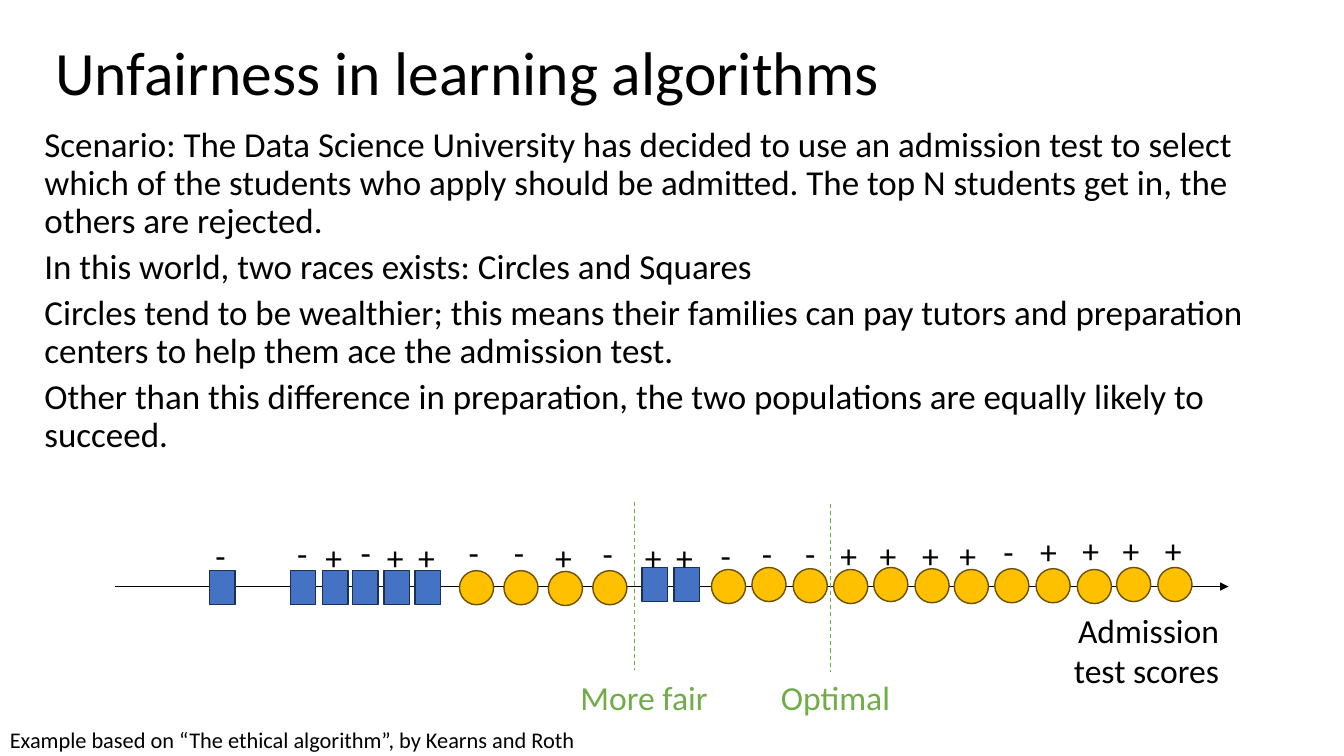
from lxml import etree
from pptx import Presentation
from pptx.dml.color import RGBColor
from pptx.enum.dml import MSO_LINE
from pptx.enum.shapes import MSO_CONNECTOR, MSO_SHAPE
from pptx.enum.text import MSO_ANCHOR, PP_ALIGN
from pptx.oxml.ns import qn
from pptx.util import Cm, Pt

SQUARE = MSO_SHAPE.RECTANGLE
CIRCLE = MSO_SHAPE.OVAL
STRAIGHT = MSO_CONNECTOR.STRAIGHT
DASH = MSO_LINE.DASH
TOP = MSO_ANCHOR.TOP
MIDDLE = MSO_ANCHOR.MIDDLE
LEFT = PP_ALIGN.LEFT
RIGHT = PP_ALIGN.RIGHT
BLACK = "000000"
GREEN = "70AD47"


def rgb(value):
    return RGBColor.from_string(value)


def add_text(s, box, lines, size, color=BLACK, align=LEFT, anchor=TOP,
             inset=0.13, spacing=None):
    tf = s.shapes.add_textbox(*[Cm(v) for v in box]).text_frame
    tf.word_wrap = True
    tf.vertical_anchor = anchor
    tf.margin_left = tf.margin_right = Cm(0.25)
    tf.margin_top = tf.margin_bottom = Cm(inset)
    for i, line in enumerate(lines):
        p = tf.add_paragraph() if i else tf.paragraphs[0]
        p.alignment = align
        p.line_spacing = spacing
        if i:
            p.space_before = Pt(6)
        r = p.add_run()
        r.text = line
        r.font.name = "Calibri"
        r.font.size = Pt(size)
        r.font.color.rgb = rgb(color)
    return tf


prs = Presentation()
prs.slide_width = Cm(33.87)
prs.slide_height = Cm(19.05)
s = prs.slides.add_slide(prs.slide_layouts[6])

add_text(s, (1.14, 0.84, 31.55, 2.13), ["Unfairness in learning algorithms"], 44,
         anchor=MIDDLE, inset=0.25, spacing=0.9)

scenario = [
    "Scenario: The Data Science University has decided to use an admission test to select "
    "which of the students who apply should be admitted. The top N students get in, the "
    "others are rejected.",
    "In this world, two races exists: Circles and Squares",
    "Circles tend to be wealthier; this means their families can pay tutors and preparation "
    "centers to help them ace the admission test.",
    "Other than this difference in preparation, the two populations are equally likely to "
    "succeed.",
]
tf = add_text(s, (0.43, 2.97, 32.72, 8.05), scenario, 25, inset=0.25, spacing=0.9)
for p in tf.paragraphs:
    pPr = p._p.get_or_add_pPr()
    pPr.set("marL", str(Cm(0.44)))
    pPr.set("indent", "0")

add_text(s, (0, 18.16, 20.73, 0.94),
         ["Example based on “The ethical algorithm”, by Kearns and Roth"], 16)

lines = [
    (2.9, 14.78, 30.96, 14.78, BLACK, 1),
    (20.93, 12.7, 20.93, 16.94, GREEN, 0.75),
    (16, 12.65, 16, 16.89, GREEN, 0.75),
]
for x1, y1, x2, y2, color, width in lines:
    line = s.shapes.add_connector(STRAIGHT, Cm(x1), Cm(y1), Cm(x2), Cm(y2))
    line.line.color.rgb = rgb(color)
    line.line.width = Pt(width)
    if color == GREEN:
        line.line.dash_style = DASH
    else:
        ln = line.line._get_or_add_ln()
        etree.SubElement(ln, qn("a:tailEnd"), type="triangle")
    etree.SubElement(line._element.spPr, qn("a:effectLst"))

add_text(s, (25.53, 15.24, 5.44, 2.31), ["Admission test scores"], 24, align=RIGHT)

students = [
    (SQUARE, 5.28, 14.38, "-", 5.18, 13.34),
    (SQUARE, 7.32, 14.38, "-", 7.24, 13.31),
    (SQUARE, 8.13, 14.38, "+", 7.95, 13.39),
    (SQUARE, 8.89, 14.38, "-", 8.84, 13.28),
    (SQUARE, 9.68, 14.38, "+", 9.5, 13.41),
    (SQUARE, 10.46, 14.38, "+", 10.29, 13.39),
    (CIRCLE, 11.58, 14.38, "-", 11.56, 13.28),
    (CIRCLE, 12.7, 14.38, "-", 12.7, 13.28),
    (CIRCLE, 13.82, 14.4, "+", 13.74, 13.39),
    (CIRCLE, 14.94, 14.38, "-", 14.94, 13.31),
    (SQUARE, 16.18, 14.3, "+", 16, 13.39),
    (SQUARE, 16.99, 14.3, "+", 16.79, 13.39),
    (CIRCLE, 17.93, 14.35, "-", 17.91, 13.34),
    (CIRCLE, 18.95, 14.3, "-", 18.95, 13.31),
    (CIRCLE, 19.99, 14.33, "-", 20.04, 13.31),
    (CIRCLE, 21.01, 14.35, "+", 20.93, 13.34),
    (CIRCLE, 22.02, 14.3, "+", 21.92, 13.34),
    (CIRCLE, 23.06, 14.33, "+", 22.99, 13.34),
    (CIRCLE, 24.05, 14.35, "+", 23.93, 13.34),
    (CIRCLE, 25.07, 14.33, "-", 25.04, 13.26),
    (CIRCLE, 26.11, 14.33, "+", 25.96, 13.26),
    (CIRCLE, 27.15, 14.35, "+", 27.03, 13.23),
    (CIRCLE, 28.14, 14.3, "+", 28.04, 13.23),
    (CIRCLE, 29.18, 14.3, "+", 29.11, 13.23),
]
styles = {SQUARE: (0.64, "4472C4", "1C3052"), CIRCLE: (0.86, "FFC000", "6B5100")}
sign_widths = {"+": 0.94, "-": 0.79}

for kind, x, y, sign, sign_x, sign_y in students:
    width, fill, outline = styles[kind]
    sp = s.shapes.add_shape(kind, Cm(x), Cm(y), Cm(width), Cm(0.86))
    sp.shadow.inherit = False
    sp.fill.solid()
    sp.fill.fore_color.rgb = rgb(fill)
    sp.line.color.rgb = rgb(outline)
    sp.line.width = Pt(1)
    add_text(s, (sign_x, sign_y, sign_widths[sign], 1.27), [sign], 24)

add_text(s, (19.43, 16.94, 3.32, 1.27), ["Optimal"], 24, GREEN)
add_text(s, (14.38, 16.94, 3.8, 1.27), ["More fair"], 24, GREEN)

prs.save("out.pptx")
